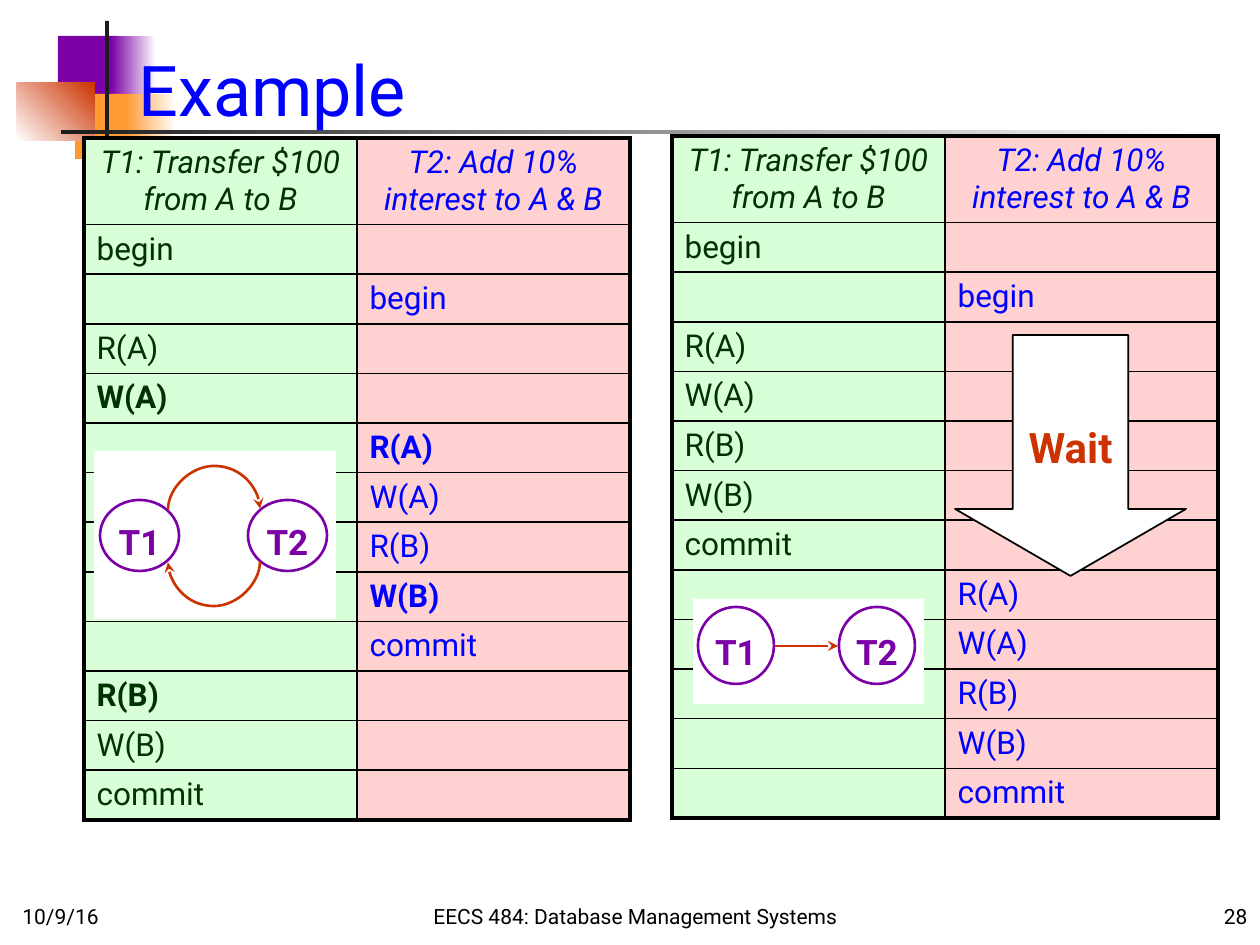
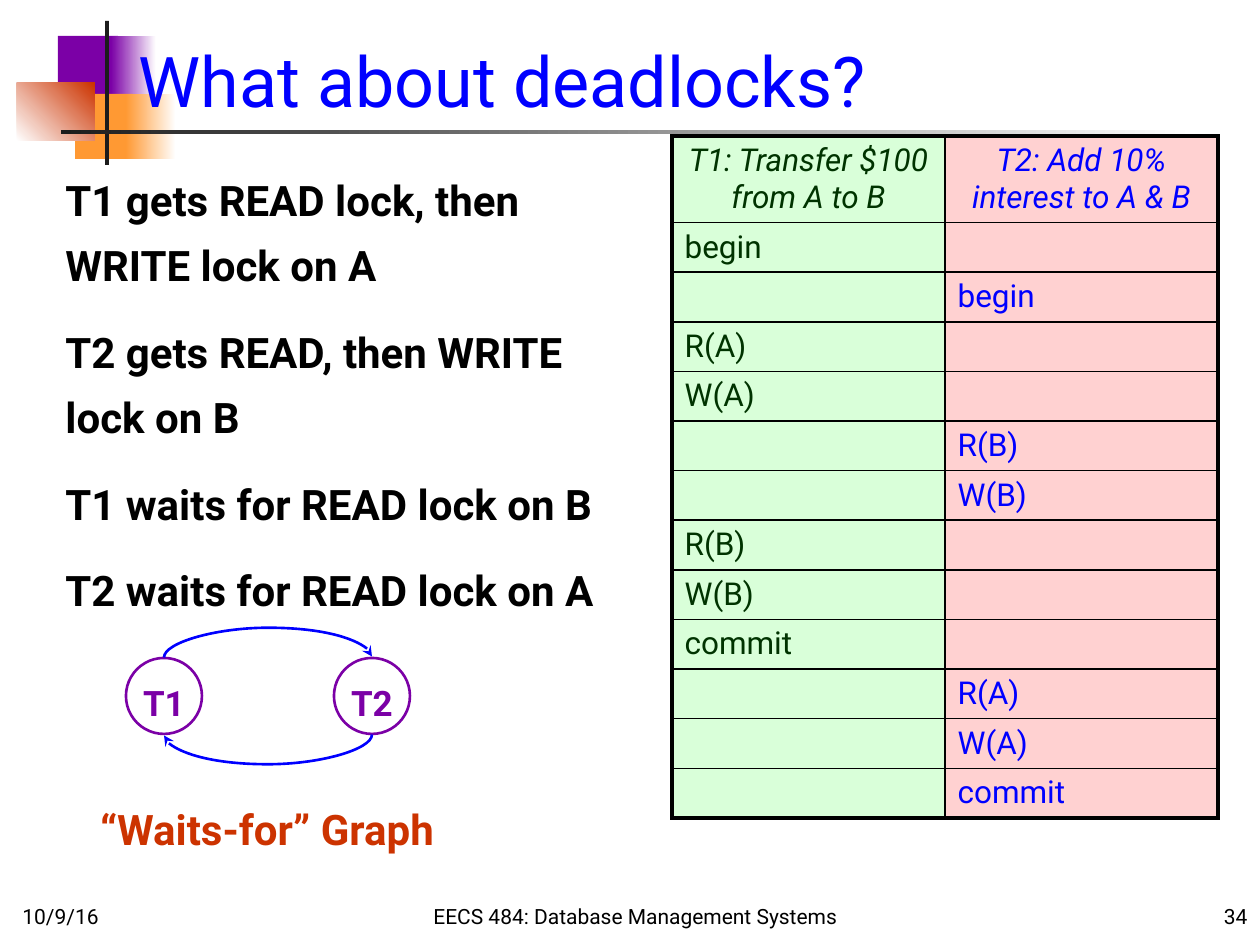
from lxml import etree
from pptx import Presentation
from pptx.dml.color import RGBColor
from pptx.enum.shapes import MSO_CONNECTOR as Connector, MSO_SHAPE as Shape
from pptx.enum.text import MSO_ANCHOR as Anchor, MSO_AUTO_SIZE as AutoSize, PP_ALIGN as Align
from pptx.oxml.ns import qn
from pptx.util import Emu, Pt

SCALE = 914400 / 126
FONT = "Roboto"
BLACK = RGBColor(0x00, 0x00, 0x00)
WHITE = RGBColor(0xFF, 0xFF, 0xFF)
CHARCOAL = RGBColor(0x1C, 0x1C, 0x1C)
PURPLE = RGBColor(0x7B, 0x00, 0xA6)
ORANGE = RGBColor(0xFF, 0x99, 0x33)
RED = RGBColor(0xCC, 0x33, 0x00)
BLUE = RGBColor(0x00, 0x00, 0xFF)
GREEN = RGBColor(0x00, 0x33, 0x00)
PALE_GREEN = RGBColor(0xD9, 0xFF, 0xD9)
PALE_RED = RGBColor(0xFF, 0xD1, 0xD1)

HEADINGS = ["T1: Transfer $100 from A to B", "T2: Add 10% interest to A & B"]
INK = [GREEN, BLUE]
PAPER = [PALE_GREEN, PALE_RED]
COLUMN_WIDTH, HEADING_HEIGHT, STEP_HEIGHT = 273, 86, 49
T1, T2 = 0, 1

CONFLICTING = [(T1, "begin"), (T2, "begin"), (T1, "R(A)"), (T1, "W(A)"),
               (T2, "R(A)"), (T2, "W(A)"), (T2, "R(B)"), (T2, "W(B)"),
               (T2, "commit"), (T1, "R(B)"), (T1, "W(B)"), (T1, "commit")]
CONFLICT_ROWS = {4, 5, 8, 10}
WAITING = [(T1, "begin"), (T2, "begin"), (T1, "R(A)"), (T1, "W(A)"),
           (T1, "R(B)"), (T1, "W(B)"), (T1, "commit"), (T2, "R(A)"),
           (T2, "W(A)"), (T2, "R(B)"), (T2, "W(B)"), (T2, "commit")]
DEADLOCK = [(T1, "begin"), (T2, "begin"), (T1, "R(A)"), (T1, "W(A)"),
            (T2, "R(B)"), (T2, "W(B)"), (T1, "R(B)"), (T1, "W(B)"),
            (T1, "commit"), (T2, "R(A)"), (T2, "W(A)"), (T2, "commit")]
LOCK_STEPS = ["T1 gets READ lock, then WRITE lock on A",
              "T2 gets READ, then WRITE lock on B",
              "T1 waits for READ lock on B",
              "T2 waits for READ lock on A"]


def px(*lengths):
    """Turn pixel lengths into EMU."""
    return [Emu(round(length * SCALE)) for length in lengths]


def add_run(paragraph, text, size, color, bold=False, italic=False):
    """Add one formatted run to a paragraph."""
    run = paragraph.add_run()
    run.text = text
    font = run.font
    font.name, font.size, font.bold, font.italic = FONT, Pt(size), bold, italic
    font.color.rgb = color


def add_text(slide, box, lines, size, color, align=Align.LEFT, anchor=Anchor.MIDDLE,
             bold=False, spacing=None):
    """Add a wrapping text box with one paragraph per line."""
    frame = slide.shapes.add_textbox(*px(*box)).text_frame
    frame.word_wrap = True
    frame.vertical_anchor = anchor
    for index, line in enumerate(lines):
        paragraph = frame.paragraphs[0] if index == 0 else frame.add_paragraph()
        paragraph.alignment = align
        paragraph.line_spacing = spacing
        if index:
            paragraph.space_before = Pt(12)
        add_run(paragraph, line, size, color, bold)


def add_block(slide, box, fill=None, line=None, width=1, kind=Shape.RECTANGLE):
    """Add a preset shape with optional plain fill and outline."""
    shape = slide.shapes.add_shape(kind, *px(*box))
    shape.shadow.inherit = False
    if fill is None:
        shape.fill.background()
    else:
        shape.fill.solid()
        shape.fill.fore_color.rgb = fill
    if line is None:
        shape.line.fill.background()
    else:
        shape.line.color.rgb = line
        shape.line.width = Pt(width)
    return shape


def add_fade(slide, box, start, end, angle=0):
    """Add a rectangle that fades from one colour to another."""
    fill = add_block(slide, box).fill
    fill.gradient()
    fill.gradient_angle = angle
    for stop, color in zip(fill.gradient_stops, (start, end)):
        stop.color.rgb = color


def label_shape(shape, text, size, color):
    """Write a bold centred label in a shape."""
    frame = shape.text_frame
    frame.vertical_anchor = Anchor.MIDDLE
    paragraph = frame.paragraphs[0]
    paragraph.alignment = Align.CENTER
    paragraph.line_spacing = 1.3
    add_run(paragraph, text, size, color, bold=True)


def add_nodes(slide, lefts, top, width, height):
    """Add the T1 and T2 graph nodes."""
    for name, left in zip(("T1", "T2"), lefts):
        node = add_block(slide, (left, top, width, height), line=PURPLE, width=1.5,
                         kind=Shape.OVAL)
        frame = node.text_frame
        frame.margin_left = frame.margin_right = frame.margin_top = frame.margin_bottom = 0
        frame.word_wrap = False
        label_shape(node, name, 20, PURPLE)


def add_arrow(slide, kind, ends, color):
    """Add a connector with a stealth arrowhead at its end."""
    connector = slide.shapes.add_connector(kind, *px(*ends))
    connector.line.color.rgb = color
    connector.line.width = Pt(1.5)
    properties = connector._element.spPr
    etree.SubElement(properties.find(qn("a:ln")), qn("a:tailEnd"), type="stealth")
    etree.SubElement(properties, qn("a:effectLst"))
    return connector


def add_arc(slide, start, end, y, bulge, color):
    """Add a curved arrow, bulging up when it runs right and down when it runs left."""
    span, middle = abs(end - start), (start + end) / 2
    left, top = middle - 0.5, y - span / 2
    arc = add_arrow(slide, Connector.CURVE, (left, top, left + 1, top + span), color)
    properties = arc._element.spPr
    properties.find(qn("a:xfrm")).set("rot", str((270 if end > start else 90) * 60000))
    geometry = properties.find(qn("a:prstGeom"))
    guides = geometry.find(qn("a:avLst"))
    if guides is None:
        guides = etree.SubElement(geometry, qn("a:avLst"))
    etree.SubElement(guides, qn("a:gd"), name="adj1", fmla=f"val {bulge * 100000}")


def set_borders(cell, widths):
    """Draw the left, right, top and bottom borders of a cell."""
    properties = cell._tc.get_or_add_tcPr()
    for index, (side, width) in enumerate(zip("LRTB", widths)):
        border = etree.Element(qn(f"a:ln{side}"), w=str(Pt(width)))
        fill = etree.SubElement(border, qn("a:solidFill"))
        etree.SubElement(fill, qn("a:srgbClr"), val=str(BLACK))
        properties.insert(index, border)


def fill_cell(cell, text, column, heading, bold):
    """Colour a schedule cell and write its step."""
    cell.fill.solid()
    cell.fill.fore_color.rgb = PAPER[column]
    paragraph = cell.text_frame.paragraphs[0]
    if heading:
        paragraph.alignment = Align.CENTER
    if text:
        add_run(paragraph, text, 18, INK[column], bold, heading)
    else:
        ending = paragraph._p.get_or_add_endParaRPr()
        ending.set("sz", "1800")
        etree.SubElement(ending, qn("a:latin"), typeface=FONT)


def add_schedule(slide, left, top, steps, bold_rows=()):
    """Add a two-transaction schedule, one step per row."""
    rows = [HEADINGS] + [[text if column == owner else "" for column in (T1, T2)]
                         for owner, text in steps]
    height = HEADING_HEIGHT + STEP_HEIGHT * len(steps)
    table = slide.shapes.add_table(len(rows), 2, *px(left, top, 2 * COLUMN_WIDTH, height)).table
    table.first_row = table.horz_banding = False
    for column in table.columns:
        column.width = px(COLUMN_WIDTH)[0]
    for row, texts in enumerate(rows):
        table.rows[row].height = px(STEP_HEIGHT if row else HEADING_HEIGHT)[0]
        for column, text in enumerate(texts):
            cell = table.cell(row, column)
            fill_cell(cell, text, column, row == 0, row in bold_rows)
            outer = (column == T1, column == T2, row == 0, row == len(steps))
            set_borders(cell, [2.25 if edge else 1 for edge in outer])


def add_slide(presentation, title, number, title_top, title_anchor):
    """Add a slide with the shared ornament, footer and title style."""
    slide = presentation.slides.add_slide(presentation.slide_layouts[5])
    add_block(slide, (58, 36, 60, 65), PURPLE)
    add_fade(slide, (111, 36, 45, 65), PURPLE, WHITE)
    add_block(slide, (75, 94, 58, 65), ORANGE)
    add_fade(slide, (126, 94, 50, 65), ORANGE, WHITE)
    add_fade(slide, (17, 83, 78, 58), WHITE, RED, 45)
    add_block(slide, (105, 21, 4, 144), CHARCOAL)
    add_fade(slide, (61, 130, 1134, 4), CHARCOAL, WHITE)

    footers = [(10, 262, "10/9/16", Align.LEFT),
               (294, 683, "EECS 484: Database Management Systems", Align.CENTER),
               (998, 262, number, Align.RIGHT)]
    for left, width, text, align in footers:
        add_text(slide, (left, 872, width, 63), [text], 12, BLACK, align, Anchor.BOTTOM)

    heading = slide.shapes.title
    heading.left, heading.top, heading.width, heading.height = px(126, title_top, 1113, 158)
    frame = heading.text_frame
    frame.auto_size = AutoSize.NONE
    frame.vertical_anchor = title_anchor
    frame.paragraphs[0].alignment = Align.LEFT
    add_run(frame.paragraphs[0], title, 40, BLUE)
    heading._element.getparent().append(heading._element)
    return slide


def build_example(presentation):
    """Compare a conflicting schedule with one that waits."""
    slide = add_slide(presentation, "Example", "28", -21, Anchor.BOTTOM)
    add_schedule(slide, 84, 138, CONFLICTING, CONFLICT_ROWS)
    add_block(slide, (94, 451, 242, 168), WHITE)
    add_nodes(slide, (100, 248), 500, 79, 71)
    add_arc(slide, 168, 260, 509, 44, RED)
    add_arc(slide, 260, 168, 562, 45, RED)

    add_schedule(slide, 672, 136, WAITING)
    add_block(slide, (693, 599, 231, 105), WHITE)
    add_nodes(slide, (698, 839), 607, 76, 77)
    add_arrow(slide, Connector.STRAIGHT, (775, 646, 838, 646), RED)
    wait = add_block(slide, (955, 335, 231, 241), WHITE, BLACK, kind=Shape.DOWN_ARROW)
    wait.adjustments[0], wait.adjustments[1] = 0.5, 0.29
    label_shape(wait, "Wait", 24, RED)


def build_deadlocks(presentation):
    """Show a deadlocked schedule and its waits-for graph."""
    slide = add_slide(presentation, "What about deadlocks?", "34", 0, Anchor.MIDDLE)
    add_schedule(slide, 672, 136, DEADLOCK)
    add_text(slide, (53, 144, 599, 486), LOCK_STEPS, 24, BLACK, bold=True, spacing=1.3)
    add_nodes(slide, (126, 334), 658, 76, 76)
    add_arc(slide, 164, 372, 657, 30, BLUE)
    add_arc(slide, 372, 164, 735, 30, BLUE)
    add_text(slide, (73, 782, 388, 78), ["“Waits-for” Graph"], 24, RED, Align.CENTER,
             bold=True, spacing=1.3)


def main():
    """Build and save the presentation."""
    presentation = Presentation()
    presentation.slide_width, presentation.slide_height = px(1260, 945)
    build_example(presentation)
    build_deadlocks(presentation)
    presentation.save("out.pptx")


if __name__ == "__main__":
    main()
